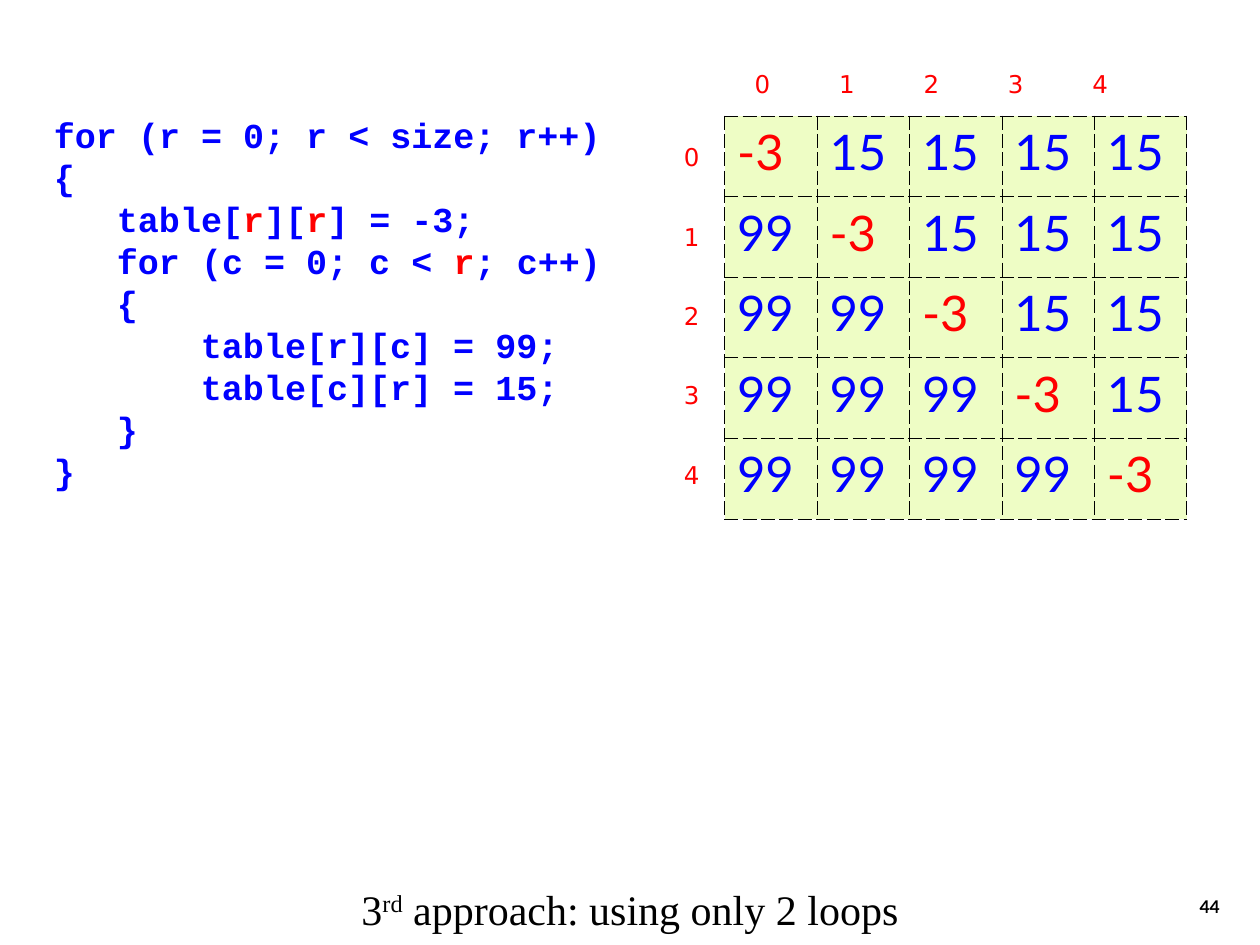
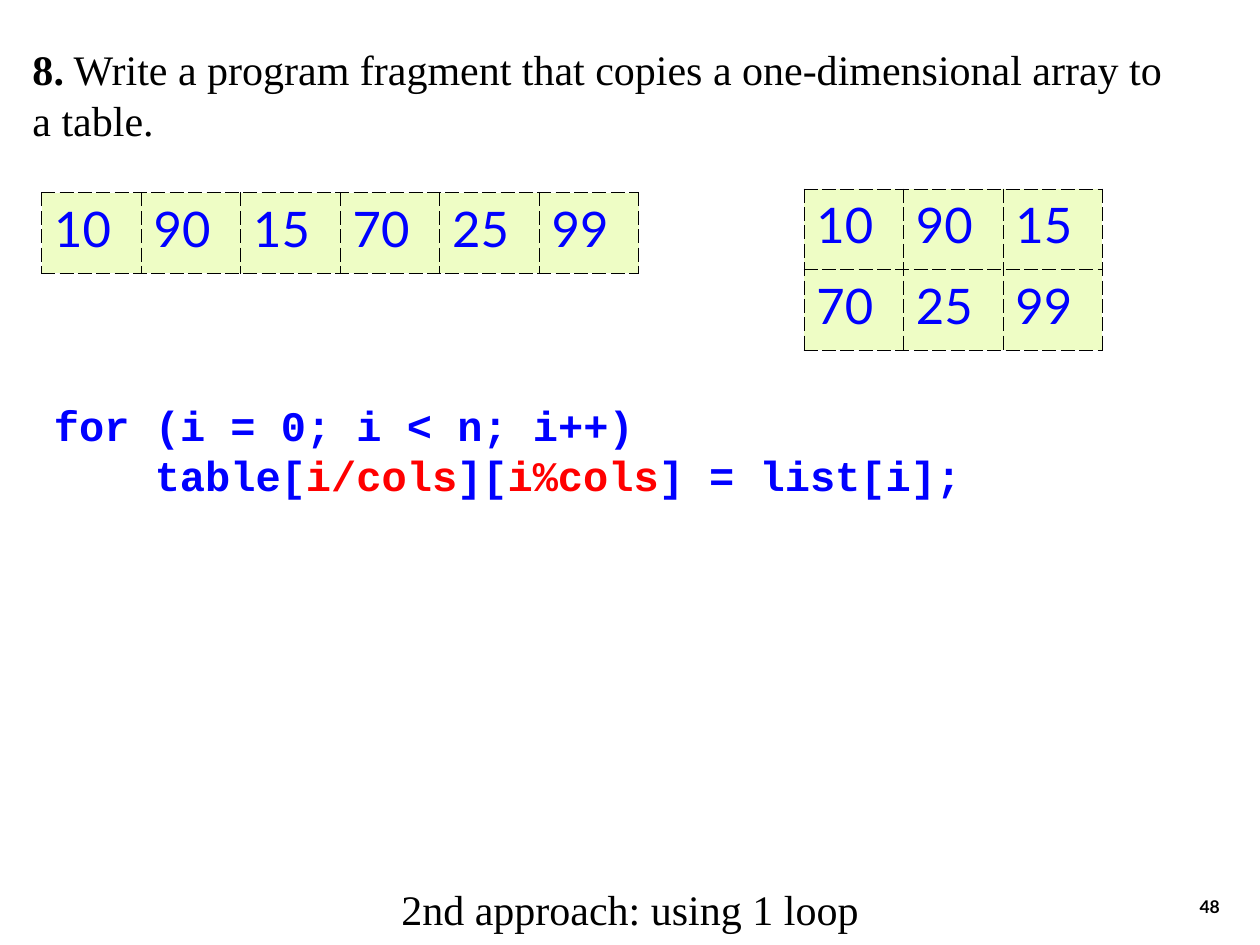
from lxml import etree
from pptx import Presentation
from pptx.dml.color import RGBColor
from pptx.enum.text import MSO_ANCHOR as ANCHOR, MSO_AUTO_SIZE as AUTO, PP_ALIGN as ALIGN
from pptx.oxml.ns import qn
from pptx.util import Inches, Pt

BLACK = RGBColor(0x00, 0x00, 0x00)
BLUE = RGBColor(0x00, 0x00, 0xFF)
RED = RGBColor(0xFF, 0x00, 0x00)
CELL = RGBColor(0xEE, 0xFD, 0xC5)

SERIF, MONO = "Times New Roman", "Courier New"
SANS, INDEX = "Lato", "DejaVu Sans"
LEADING = 1.2    # line pitch relative to text size
MONO_WIDTH = 0.6    # character width relative to text size


class Deck:
    """Shared style plus the slide being built."""

    def __init__(self):
        self.prs = Presentation()
        self.prs.slide_width, self.prs.slide_height = Inches(10), Inches(7.5)
        self.s = None

    def slide(self, number, caption):
        """Start a slide with its bottom caption and slide number."""
        self.s = self.prs.slides.add_slide(self.prs.slide_layouts[5])
        sp = self.s.shapes.title
        sp.left, sp.top, sp.width, sp.height = map(Inches, (0, 6.92, 10, 0.58))
        tf = sp.text_frame
        tf.auto_size, tf.word_wrap = AUTO.NONE, False
        tf.vertical_anchor = ANCHOR.MIDDLE
        p = self.line(tf.paragraphs[0], 24, ALIGN.CENTER)
        for text, raised in caption:
            r = self.run(p, text, SERIF, 24, BLACK)
            if raised:
                r._r.get_or_add_rPr().set("baseline", "30000")

        tf = self.box(7.7, 6.83, 2.08, 0.5)
        tf.vertical_anchor = ANCHOR.BOTTOM
        p = tf.paragraphs[0]
        p.alignment = ALIGN.RIGHT
        self.run(p, number, SANS, 10, BLACK, bold=True)

    def box(self, x, y, w, h):
        sp = self.s.shapes.add_textbox(*map(Inches, (x, y, w, h)))
        sp.text_frame.word_wrap = True
        return sp.text_frame

    def line(self, p, size, align=ALIGN.LEFT):
        p.alignment = align
        p.line_spacing = Pt(size * LEADING)
        return p

    def run(self, p, text, font, size, color, bold=False):
        r = p.add_run()
        r.text = text
        r.font.name, r.font.size, r.font.bold = font, Pt(size), bold
        r.font.color.rgb = color
        return r

    def next_paragraph(self, tf, i):
        return tf.add_paragraph() if i else tf.paragraphs[0]

    def question(self, x, y, w, h, lines):
        tf = self.box(x, y, w, h)
        tf.word_wrap = False
        for i, runs in enumerate(lines):
            p = self.line(self.next_paragraph(tf, i), 24)
            for text, bold in runs:
                self.run(p, text, SERIF, 24, BLACK, bold)

    def code(self, x, y, w, h, size, lines):
        """Lines are (indent in characters, text); bars enclose red parts."""
        tf = self.box(x, y, w, h)
        tf.margin_top = Inches(0.42)
        for i, (indent, text) in enumerate(lines):
            p = self.line(self.next_paragraph(tf, i), size)
            pPr = p._p.get_or_add_pPr()
            pPr.set("marL", str(Pt(indent * MONO_WIDTH * size)))
            pPr.set("indent", "0")
            for k, part in enumerate(text.split("|")):
                self.run(p, part, MONO, size, RED if k % 2 else BLUE, bold=True)

    def table(self, x, y, col_w, row_h, rows):
        n_rows, n_cols = len(rows), len(rows[0])
        frame = self.s.shapes.add_table(n_rows, n_cols, Inches(x), Inches(y),
                                        Inches(col_w * n_cols), Inches(row_h * n_rows))
        for row, values in zip(frame.table.rows, rows):
            for cell, value in zip(row.cells, values):
                cell.fill.solid()
                cell.fill.fore_color.rgb = CELL
                self.dashed_border(cell)
                self.run(cell.text_frame.paragraphs[0], str(value), SANS, 28,
                         RED if value < 0 else BLUE)

    def dashed_border(self, cell):
        tcPr = cell._tc.get_or_add_tcPr()
        for i, side in enumerate(("lnL", "lnR", "lnT", "lnB")):
            ln = etree.Element(qn("a:" + side), w=str(Pt(0.45)))
            fill = etree.SubElement(ln, qn("a:solidFill"))
            etree.SubElement(fill, qn("a:srgbClr"), val=str(BLACK))
            etree.SubElement(ln, qn("a:prstDash"), val="dash")
            tcPr.insert(i, ln)

    def column_indexes(self, x, y, w, h, first, pitch, count):
        tf = self.box(x, y, w, h)
        tf.margin_left = Inches(first)
        p = tf.paragraphs[0]
        tabs = etree.SubElement(p._p.get_or_add_pPr(), qn("a:tabLst"))
        for c in range(1, count):
            etree.SubElement(tabs, qn("a:tab"), pos=str(Inches(c * pitch)), algn="l")
        self.run(p, "\t".join(map(str, range(count))), INDEX, 14, RED)

    def row_indexes(self, x, y, pitch, count):
        for i in range(count):
            tf = self.box(x, y + i * pitch, 0.33, 0.34)
            self.run(tf.paragraphs[0], str(i), INDEX, 14, RED)


def diagonal_slide(deck):
    deck.slide("44", [("3", False), ("rd", True),
                      (" approach: using only 2 loops", False)])
    deck.code(0.33, 0.48, 4.92, 3.44, 20, [
        (0, "for (r = 0; r < size; r++)"),
        (0, "{"),
        (3, "table[|r|][|r|] = -3;"),
        (3, "for (c = 0; c < |r|; c++)"),
        (3, "{"),
        (7, "table[r][c] = 99;"),
        (7, "table[c][r] = 15;"),
        (3, "}"),
        (0, "}"),
    ])
    # Diagonal -3, 99 below it, 15 above it
    size = 5
    deck.table(5.75, 0.92, 3.67 / size, 0.64,
               [[99] * r + [-3] + [15] * (size - 1 - r) for r in range(size)])
    deck.column_indexes(5.58, 0.5, 3.83, 0.34, 0.41, 0.67, size)
    deck.row_indexes(5.33, 1.08, 0.63, size)


def array_to_table_slide(deck):
    deck.slide("48", [("2nd approach: using 1 loop", False)])
    deck.question(0.16, 0.3, 9.27, 0.9, [
        [("8.", True),
         (" Write a program fragment that copies a one-dimensional array to", False)],
        [("a table.", False)],
    ])
    # The same values as a list and as a table
    values, cols = [10, 90, 15, 70, 25, 99], 3
    deck.table(0.33, 1.53, 0.79, 0.64, [values])
    deck.table(6.38, 1.5, 0.79, 0.64, [values[:cols], values[cols:]])
    deck.code(0.33, 2.75, 8.42, 1.24, 24, [
        (0, "for (i = 0; i < n; i++)"),
        (4, "table[|i/cols|][|i%cols|] = list[i];"),
    ])


def main():
    deck = Deck()
    diagonal_slide(deck)
    array_to_table_slide(deck)
    deck.prs.save("out.pptx")


if __name__ == "__main__":
    main()
